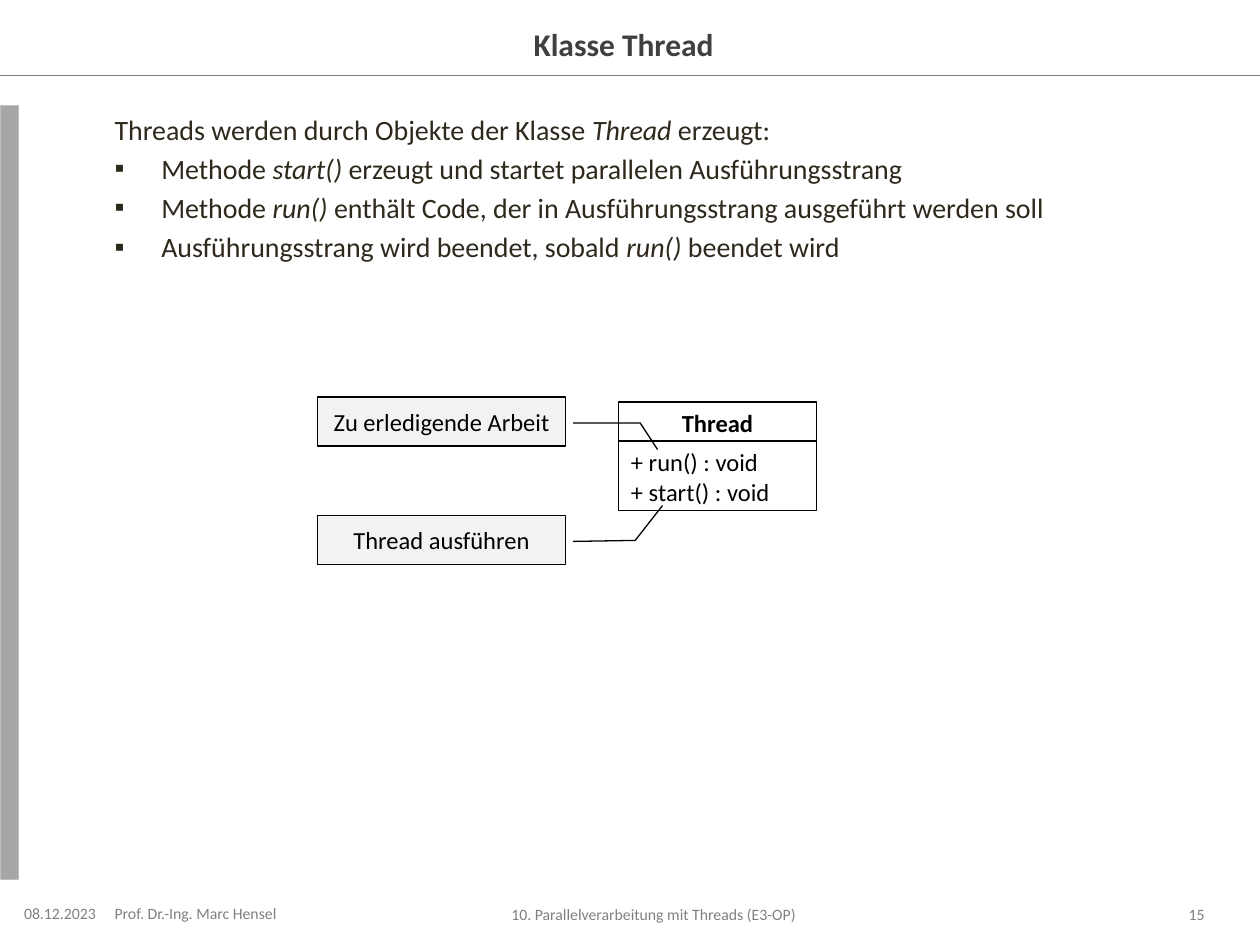
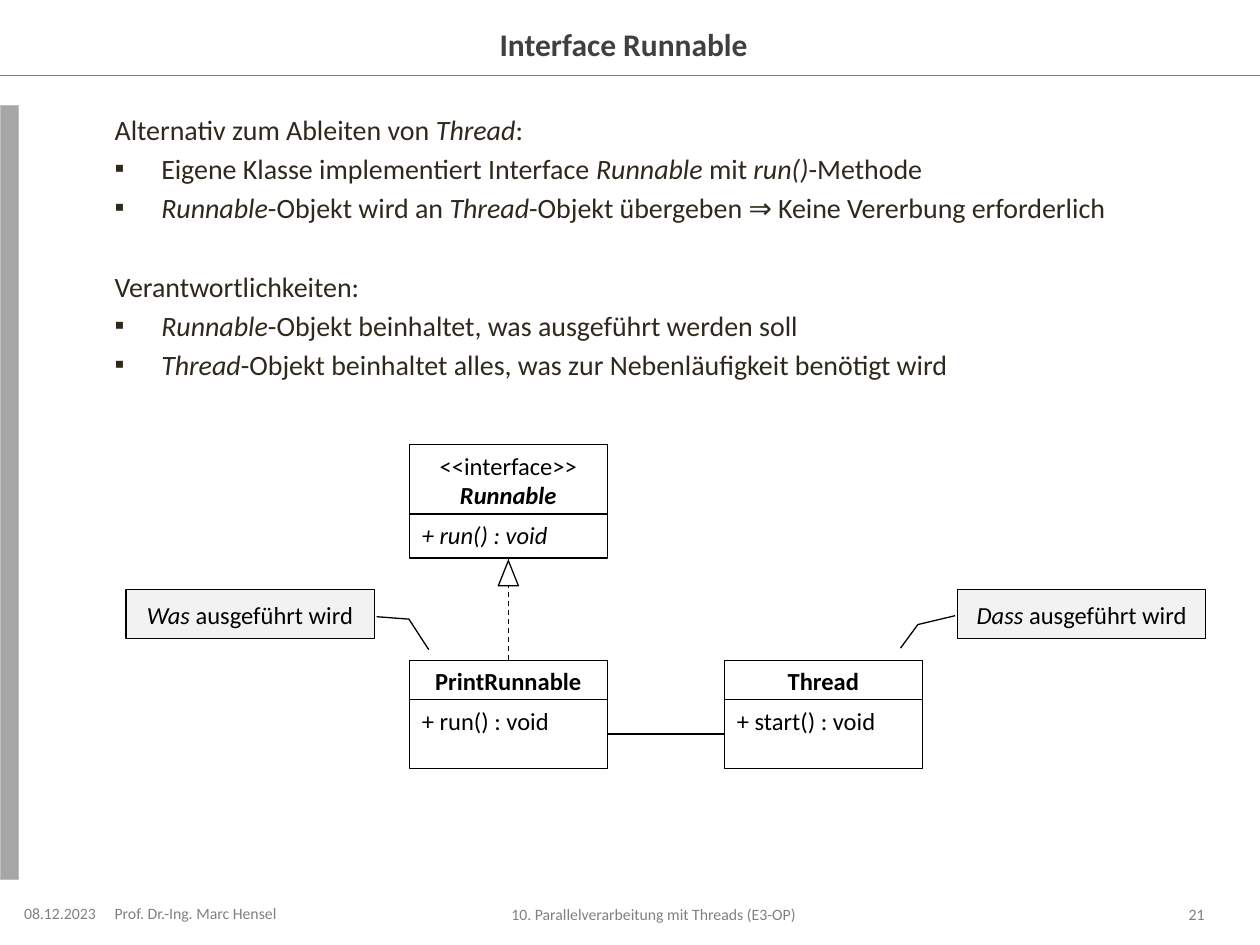
from dataclasses import dataclass

import pptx
import pptx.dml.color
import pptx.enum.dml
import pptx.enum.shapes
import pptx.enum.text
import pptx.oxml
import pptx.oxml.ns
import pptx.util
from pptx.util import Inches

# Shared look
FONT = "Calibri"
BLACK, WHITE, GRAY = "000000", "FFFFFF", "808080"
TITLE_COLOR, BODY_COLOR = "404040", "2F291D"
BAND_FILL, BAND_LINE, CALLOUT_FILL = "A6A6A6", "BFBFBF", "F2F2F2"
LINE_WIDTH = 0.75
LEFT_INSET, RIGHT_INSET, BOTH_INSETS = (0, 0.1), (0.1, 0), (0.1, 0.1)
CLASS_WIDTH = 1.57
CALLOUT_SIZE = (1.97, 0.39)

SHAPES = pptx.enum.shapes.MSO_SHAPE
ANCHOR = pptx.enum.text.MSO_ANCHOR
ALIGN = pptx.enum.text.PP_ALIGN


@dataclass
class TextLine:
    """One paragraph; *stars* enclose italic words."""
    text: str
    bold: bool = False
    bullet: bool = False
    space_before: float = 0


@dataclass
class Style:
    size: float
    color: str
    align: ALIGN = ALIGN.LEFT
    anchor: ANCHOR = ANCHOR.MIDDLE
    insets: tuple = BOTH_INSETS


@dataclass
class ClassBox:
    left: float
    top: float
    head: list
    methods: list
    head_height: float = 0.31
    body_height: float = 0.55


@dataclass
class Callout:
    left: float
    top: float
    text: str
    pointer: tuple  # y, x pairs relative to the box


@dataclass
class Footer:
    text: str
    box: tuple
    align: ALIGN
    insets: tuple = LEFT_INSET


TITLE_STYLE = Style(18, TITLE_COLOR, ALIGN.CENTER, insets=LEFT_INSET)
BODY_STYLE = Style(16, BODY_COLOR, anchor=ANCHOR.TOP, insets=LEFT_INSET)
HEAD_STYLE = Style(14, BLACK, ALIGN.CENTER, ANCHOR.TOP)
METHOD_STYLE = Style(14, BLACK, anchor=ANCHOR.TOP)
CALLOUT_STYLE = Style(14, BLACK, ALIGN.CENTER)

FOOTERS = [
    Footer("08.12.2023", (0.15, 7.17, 0.75, 0.16), ALIGN.CENTER),
    Footer("Prof. Dr.-Ing. Marc Hensel", (0.91, 7.17, 1.5, 0.15), ALIGN.LEFT),
    Footer("10. Parallelverarbeitung mit Threads (E3-OP)",
           (2.48, 7.18, 5.51, 0.15), ALIGN.CENTER),
]


def rgb(color: str) -> pptx.dml.color.RGBColor:
    return pptx.dml.color.RGBColor.from_string(color)


def inches(*lengths: float) -> list:
    return [Inches(length) for length in lengths]


# Text
def add_bullet(paragraph, bullet: bool) -> None:
    properties = paragraph._p.get_or_add_pPr()
    indent = Inches(0.37) if bullet else 0
    properties.set("marL", str(indent))
    properties.set("indent", str(-indent))
    tag = 'buChar char="▪"' if bullet else "buNone"
    properties.append(pptx.oxml.parse_xml(
        f"<a:{tag} {pptx.oxml.ns.nsdecls('a')}/>"))


def write(shape, lines: list, style: Style) -> None:
    frame = shape.text_frame
    frame.word_wrap = True
    frame.auto_size = pptx.enum.text.MSO_AUTO_SIZE.NONE
    frame.vertical_anchor = style.anchor
    frame.margin_left, frame.margin_right = inches(*style.insets)
    frame.margin_top = frame.margin_bottom = Inches(0.05)
    for index, line in enumerate(lines):
        paragraph = frame.add_paragraph() if index else frame.paragraphs[0]
        paragraph.alignment = style.align
        paragraph.space_before = pptx.util.Pt(line.space_before)
        add_bullet(paragraph, line.bullet)
        for part, words in enumerate(line.text.split("*")):
            if not words:
                continue
            run = paragraph.add_run()
            run.text = words
            run.font.name = FONT
            run.font.size = pptx.util.Pt(style.size)
            run.font.color.rgb = rgb(style.color)
            run.font.bold = line.bold
            run.font.italic = part % 2 == 1


def fill_placeholder(shape, box: tuple, lines: list, style: Style) -> None:
    shape.left, shape.top, shape.width, shape.height = inches(*box)
    write(shape, lines, style)


# Shapes
def add_box(slide, kind, box: tuple, fill: str, line: str = BLACK):
    shape = slide.shapes.add_shape(kind, *inches(*box))
    shape.shadow.inherit = False
    shape.fill.solid()
    shape.fill.fore_color.rgb = rgb(fill)
    shape.line.color.rgb = rgb(line)
    shape.line.width = pptx.util.Pt(LINE_WIDTH)
    return shape


def add_line(slide, ends: tuple = (0, 0, 0, 0), color: str = BLACK):
    connector = slide.shapes.add_connector(
        pptx.enum.shapes.MSO_CONNECTOR.STRAIGHT, *inches(*ends))
    connector.line.color.rgb = rgb(color)
    connector.line.width = pptx.util.Pt(LINE_WIDTH)
    connector._element.spPr.append(pptx.oxml.parse_xml(
        f"<a:effectLst {pptx.oxml.ns.nsdecls('a')}/>"))
    return connector


def join(slide, start, start_side: int, end, end_side: int):
    connector = add_line(slide)
    connector.begin_connect(start, start_side)
    connector.end_connect(end, end_side)
    return connector


def add_class(slide, item: ClassBox) -> tuple:
    head = add_box(slide, SHAPES.RECTANGLE,
                   (item.left, item.top, CLASS_WIDTH, item.head_height), WHITE)
    write(head, item.head, HEAD_STYLE)
    body = add_box(slide, SHAPES.RECTANGLE,
                   (item.left, item.top + item.head_height, CLASS_WIDTH, item.body_height),
                   WHITE)
    write(body, [TextLine(method) for method in item.methods], METHOD_STYLE)
    return head, body


def add_realization(slide, implementer, interface) -> None:
    join(slide, implementer, 0, interface, 2).line.dash_style = (
        pptx.enum.dml.MSO_LINE.DASH)
    width, height = 0.16, 0.2
    center = (interface.left + interface.width / 2) / Inches(1)
    bottom = (interface.top + interface.height) / Inches(1)
    add_box(slide, SHAPES.ISOSCELES_TRIANGLE,
            (center - width / 2, bottom + 0.02, width, height), WHITE)


def add_callout(slide, callout: Callout) -> None:
    shape = add_box(slide, SHAPES.LINE_CALLOUT_2,
                    (callout.left, callout.top, *CALLOUT_SIZE), CALLOUT_FILL)
    for index, value in enumerate(callout.pointer):
        shape.adjustments[index] = value
    write(shape, [TextLine(callout.text)], CALLOUT_STYLE)


# Slide frame: title, list, rule, side band and footers
def add_slide(presentation, title: str, lines: list, number: int):
    slide = presentation.slides.add_slide(presentation.slide_layouts[1])
    fill_placeholder(slide.shapes.title, (1.24, 0.15, 7.52, 0.39),
                     [TextLine(title, bold=True)], TITLE_STYLE)
    fill_placeholder(slide.placeholders[1], (0.91, 0.84, 8.66, 6.14), lines, BODY_STYLE)
    add_line(slide, (0, 0.6, 10, 0.6), GRAY)
    add_box(slide, SHAPES.RECTANGLE, (0, 0.84, 0.15, 6.14), BAND_FILL, BAND_LINE)
    page = Footer(str(number), (8.92, 7.18, 0.64, 0.15), ALIGN.RIGHT, RIGHT_INSET)
    for footer in [*FOOTERS, page]:
        box = slide.shapes.add_textbox(*inches(*footer.box))
        write(box, [TextLine(footer.text)],
              Style(9, GRAY, footer.align, insets=footer.insets))
    return slide


def bullets(*texts: str) -> list:
    return [TextLine(text, bullet=True, space_before=3.2) for text in texts]


def class_name(name: str) -> TextLine:
    return TextLine(name, bold=True)


def build_thread_slide(presentation) -> None:
    slide = add_slide(presentation, "Klasse Thread", [
        TextLine("Threads werden durch Objekte der Klasse *Thread* erzeugt:"),
        *bullets("Methode *start()* erzeugt und startet parallelen Ausführungsstrang",
                 "Methode *run()* enthält Code, der in Ausführungsstrang ausgeführt werden soll",
                 "Ausführungsstrang wird beendet, sobald *run()* beendet wird"),
    ], 15)
    add_class(slide, ClassBox(4.91, 3.19, [class_name("Thread")],
                              ["+ run() : void", "+ start() : void"]))
    for callout in (
        Callout(2.52, 3.15, "Zu erledigende Arbeit", (0.53, 1.03, 0.53, 1.3, 1.07, 1.37)),
        Callout(2.52, 4.09, "Thread ausführen", (0.53, 1.03, 0.51, 1.28, -0.2, 1.39)),
    ):
        add_callout(slide, callout)


def build_runnable_slide(presentation) -> None:
    slide = add_slide(presentation, "Interface Runnable", [
        TextLine("Alternativ zum Ableiten von *Thread*:"),
        *bullets("Eigene Klasse implementiert Interface *Runnable* mit *run()*-Methode",
                 "*Runnable*-Objekt wird an *Thread*-Objekt übergeben "
                 "⇒ Keine Vererbung erforderlich"),
        TextLine("Verantwortlichkeiten:", space_before=25.8),
        *bullets("*Runnable*-Objekt beinhaltet, was ausgeführt werden soll",
                 "*Thread*-Objekt beinhaltet alles, was zur Nebenläufigkeit benötigt wird"),
    ], 21)

    # Class diagram
    _, interface_body = add_class(slide, ClassBox(
        3.25, 3.53, [TextLine("<<interface>>"), class_name("*Runnable*")],
        ["*+ run() : void*"], head_height=0.55, body_height=0.35))
    printer_head, printer_body = add_class(slide, ClassBox(
        3.25, 5.24, [class_name("PrintRunnable")], ["+ run() : void"]))
    _, thread_body = add_class(slide, ClassBox(
        5.75, 5.24, [class_name("Thread")], ["+ start() : void"]))
    add_realization(slide, printer_head, interface_body)
    join(slide, printer_body, 3, thread_body, 1)

    for callout in (
        Callout(7.6, 4.68, "*Dass* ausgeführt wird", (0.53, -0.01, 0.71, -0.16, 1.19, -0.23)),
        Callout(1, 4.68, "*Was* ausgeführt wird", (0.55, 1.01, 0.6, 1.14, 1.22, 1.22)),
    ):
        add_callout(slide, callout)


def main() -> None:
    presentation = pptx.Presentation()
    presentation.slide_width, presentation.slide_height = inches(10, 7.5)
    build_thread_slide(presentation)
    build_runnable_slide(presentation)
    presentation.save("out.pptx")


if __name__ == "__main__":
    main()
